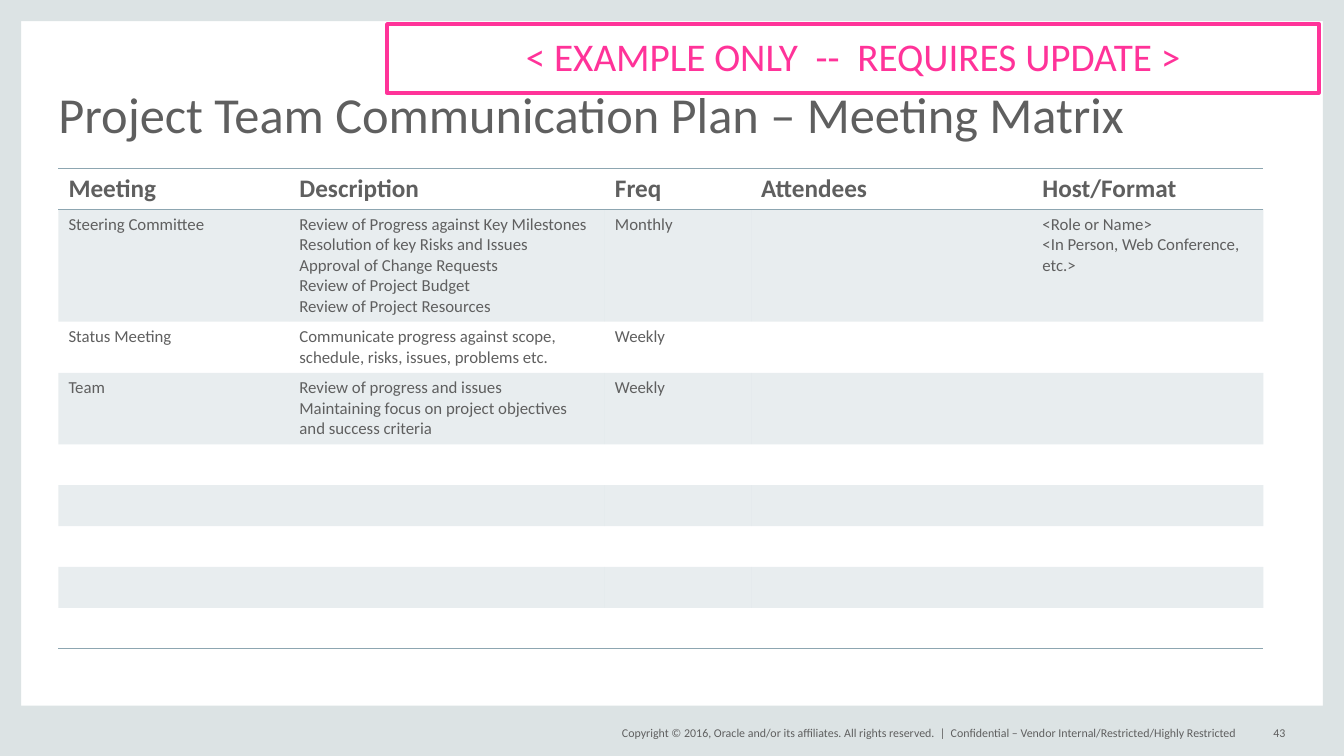
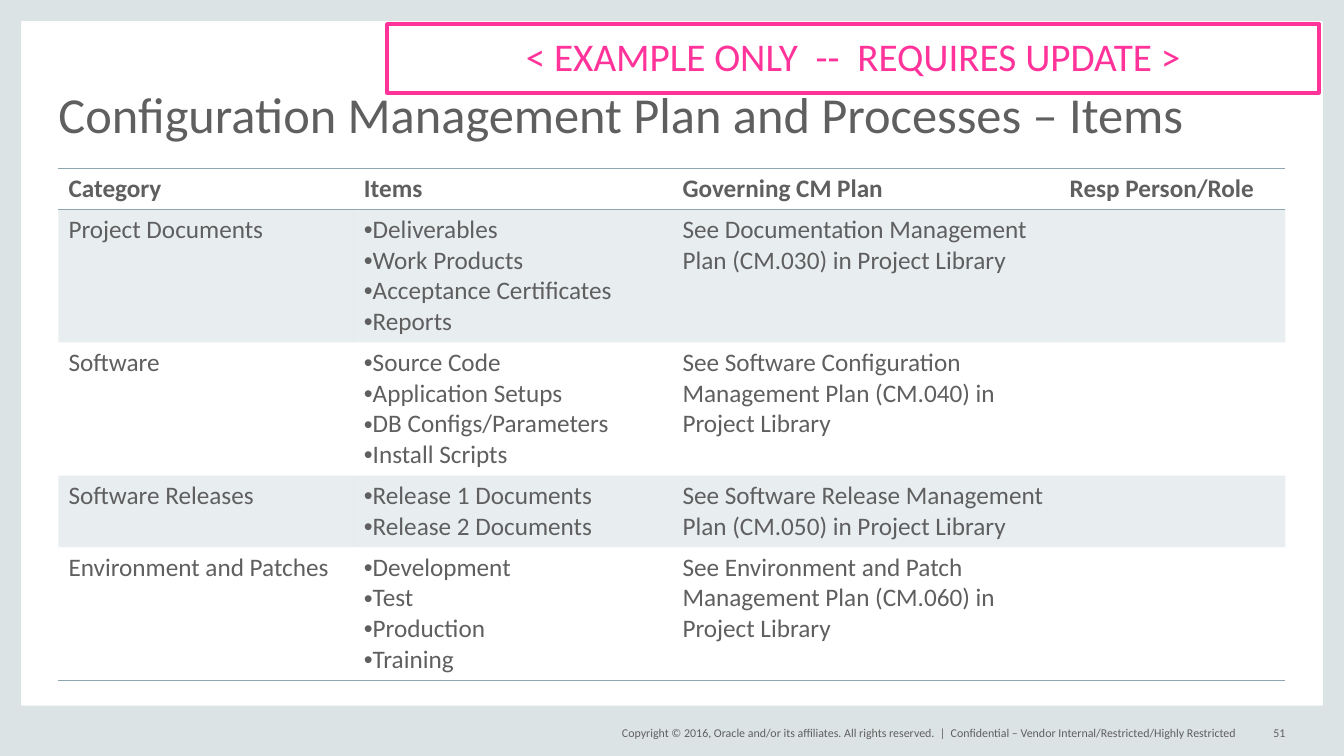
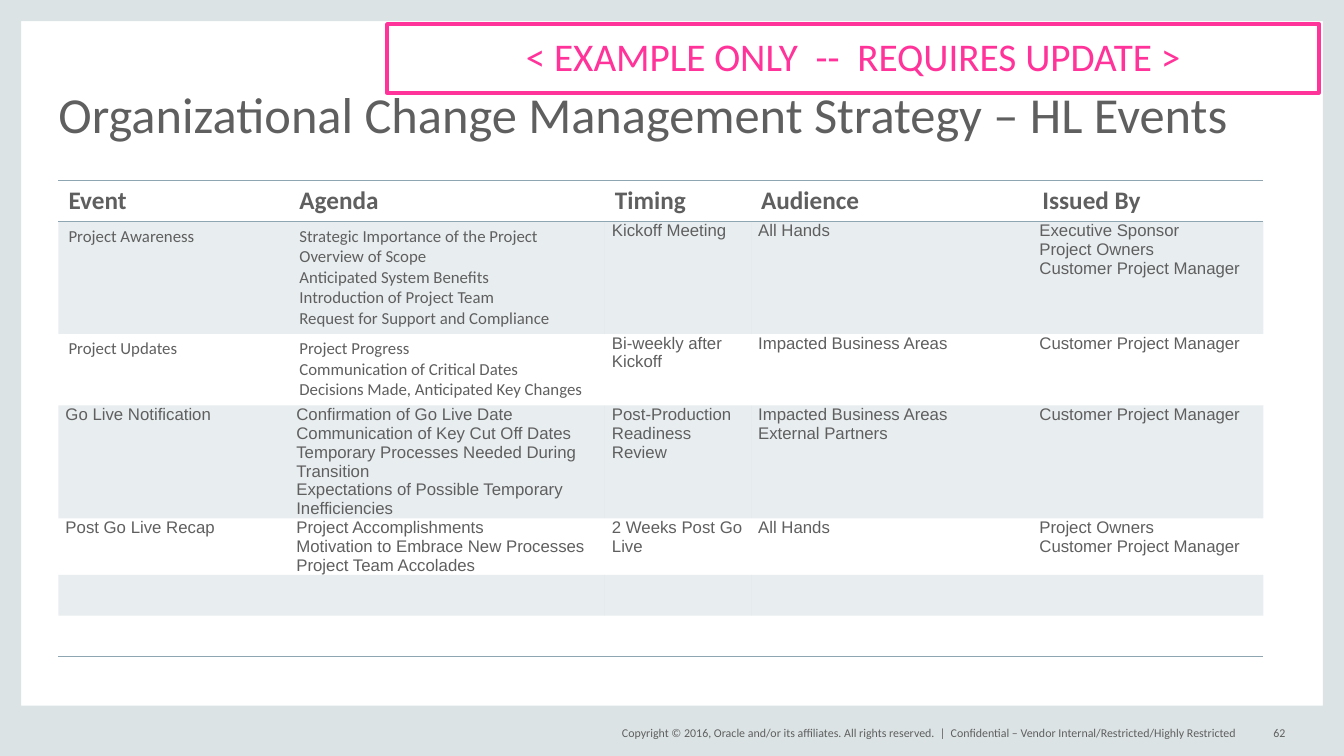
from lxml import etree
from pptx import Presentation
from pptx import util as u
from pptx.dml.color import RGBColor
from pptx.enum import shapes, text
from pptx.oxml.ns import qn

W, H = 13.33, 7.5
LEFT, EDGE, FOOT = 0.58, 0.21, 0.5
ROW = 0.4
GREY, BAND, RULE, PINK = "5F5F5F", "DCE3E4", "8DA6B1", "FF3399"
NO_STYLE = "{2D5ABB26-0587-4C30-8999-92F81FD0307C}"
BANDS = [
    (0, 0, EDGE, H),
    (W - EDGE, 0, EDGE, H),
    (0, H - FOOT, W, FOOT),
    (0, 0, W, EDGE),
]
COPYRIGHT = "Copyright © 2016, Oracle and/or its affiliates. All rights reserved.  |"
CONFIDENTIAL = "Confidential – Vendor Internal/Restricted/Highly Restricted"
BANNER = "< EXAMPLE ONLY  --  REQUIRES UPDATE >"
FIVE_COLS = [2.29, 3.13, 1.45, 2.79, 2.29]

SLIDES = [
    dict(
        title="Project Team Communication Plan – Meeting Matrix",
        number=43, top=1.67, height=4.73, cols=FIVE_COLS, size=12,
        header=["Meeting", "Description", "Freq", "Attendees", "Host/Format"],
        rows=[
            ["Steering Committee",
             "Review of Progress against Key Milestones\nResolution of key Risks and Issues\n"
             "Approval of Change Requests\nReview of Project Budget\nReview of Project Resources",
             "Monthly", "", "<Role or Name>\n<In Person, Web Conference, etc.>"],
            ["Status Meeting",
             "Communicate progress against scope, schedule, risks, issues, problems etc.",
             "Weekly", "", ""],
            ["Team",
             "Review of progress and issues\n"
             "Maintaining focus on project objectives and success criteria",
             "Weekly", "", ""],
        ],
        blank_rows=5,
    ),
    dict(
        title="Configuration Management Plan and Processes – Items",
        number=51, top=1.67, height=5.01, cols=[2.93, 3.16, 3.84, 2.24], size=18,
        header=["Category", "Items", "Governing CM Plan", "Resp Person/Role"],
        rows=[
            ["Project Documents",
             "Deliverables\nWork Products\nAcceptance Certificates\nReports",
             "See Documentation Management Plan (CM.030) in Project Library", ""],
            ["Software",
             "Source Code\nApplication Setups\nDB Configs/Parameters\nInstall Scripts",
             "See Software Configuration Management Plan (CM.040) in Project Library", ""],
            ["Software Releases",
             "Release 1 Documents\nRelease 2 Documents",
             "See Software Release Management Plan (CM.050) in Project Library", ""],
            ["Environment and Patches",
             "Development\nTest\nProduction\nTraining",
             "See Environment and Patch Management Plan (CM.060) in Project Library", ""],
        ],
        bullet_col=1,
    ),
    dict(
        title="Organizational Change Management Strategy – HL Events",
        number=62, top=1.79, height=4.82, cols=FIVE_COLS, size=12,
        header=["Event", "Agenda", "Timing", "Audience", "Issued By"],
        rows=[
            ["Project Awareness",
             "Strategic Importance of the Project\nOverview of Scope\n"
             "Anticipated System Benefits\nIntroduction of Project Team\n"
             "Request for Support and Compliance",
             "Kickoff Meeting", "All Hands",
             "Executive Sponsor\nProject Owners\nCustomer Project Manager"],
            ["Project Updates",
             "Project Progress\nCommunication of Critical Dates\n"
             "Decisions Made, Anticipated Key Changes",
             "Bi-weekly after Kickoff", "Impacted Business Areas",
             "Customer Project Manager"],
            ["Go Live Notification",
             "Confirmation of Go Live Date\nCommunication of Key Cut Off Dates\n"
             "Temporary Processes Needed During Transition\n"
             "Expectations of Possible Temporary Inefficiencies",
             "Post-Production Readiness Review",
             "Impacted Business Areas\nExternal Partners", "Customer Project Manager"],
            ["Post Go Live Recap",
             "Project Accomplishments\nMotivation to Embrace New Processes\n"
             "Project Team Accolades",
             "2 Weeks Post Go Live", "All Hands",
             "Project Owners\nCustomer Project Manager"],
        ],
        blank_rows=2,
        arial_from=[2, 2, 0, 0],
    ),
]


def rgb(color):
    return RGBColor.from_string(color)


def inches(*lengths):
    return [u.Inches(x) for x in lengths]


def write(tf, content, size=18, color=GREY, font="Calibri", bold=False,
          align="LEFT", spacing=None, bullet=False):
    for i, line in enumerate(content.split("\n")):
        p = tf.add_paragraph() if i else tf.paragraphs[0]
        p.alignment = getattr(text.PP_ALIGN, align)
        if spacing:
            p.line_spacing = spacing
        if bullet:
            pPr = p._p.get_or_add_pPr()
            pPr.set("marL", "0")
            pPr.set("indent", "0")
            etree.SubElement(pPr, qn("a:buFont")).set("typeface", "Arial")
            etree.SubElement(pPr, qn("a:buChar")).set("char", "•")
        r = p.add_run()
        r.text = line
        r.font.size = u.Pt(size)
        r.font.name = font
        r.font.bold = bold
        r.font.color.rgb = rgb(color)


def frame(sp, content, anchor="MIDDLE", **fmt):
    tf = sp.text_frame
    tf.word_wrap = True
    tf.margin_left = tf.margin_top = tf.margin_right = tf.margin_bottom = 0
    tf.vertical_anchor = getattr(text.MSO_ANCHOR, anchor)
    write(tf, content, **fmt)


def add_rect(s, box, fill=None, line=None):
    sp = s.shapes.add_shape(shapes.MSO_SHAPE.RECTANGLE, *inches(*box))
    sp.shadow.inherit = False
    if fill:
        sp.fill.solid()
        sp.fill.fore_color.rgb = rgb(fill)
    else:
        sp.fill.background()
    if line:
        sp.line.color.rgb = rgb(line)
        sp.line.width = u.Pt(3)
    else:
        sp.line.fill.background()
    return sp


def add_text(s, box, content, **fmt):
    sp = s.shapes.add_textbox(*inches(*box))
    frame(sp, content, **fmt)
    return sp


def dress_layout(layout, s):
    for ph in list(layout.placeholders)[1:]:
        ph.element.getparent().remove(ph.element)
    parts = [add_rect(s, box, fill=BAND) for box in BANDS]
    parts.append(add_text(s, (5.88, 7.17, 3.5, 0.2), COPYRIGHT, size=8.5, align="RIGHT"))
    for sp in parts:
        layout.shapes.element.append(sp.element)


def border(cell, side):
    ln = etree.SubElement(cell._tc.get_or_add_tcPr(), qn("a:" + side), w=str(u.Pt(1)))
    fill = etree.SubElement(ln, qn("a:solidFill"))
    etree.SubElement(fill, qn("a:srgbClr"), val=RULE)


def shade(cell, banded):
    if not banded:
        cell.fill.background()
        return
    cell.fill.solid()
    cell.fill.fore_color.rgb = rgb(RULE)
    color = cell._tc.tcPr.find(qn("a:solidFill")).find(qn("a:srgbClr"))
    etree.SubElement(color, qn("a:alpha"), val="20000")


def add_matrix(s, d):
    cols = d["cols"]
    rows = [d["header"]] + d["rows"] + [[""] * len(cols)] * d.get("blank_rows", 0)
    arial_from = dict(enumerate(d.get("arial_from", []), 1))
    gf = s.shapes.add_table(len(rows), len(cols),
                            *inches(LEFT, d["top"], sum(cols), ROW * len(rows)))
    table = gf.table
    table._tbl.tblPr.find(qn("a:tableStyleId")).text = NO_STYLE
    table.horz_banding = False
    for col, width in zip(table.columns, cols):
        col.width = u.Inches(width)
    for i, row in enumerate(rows):
        table.rows[i].height = u.Inches(ROW)
        for j, content in enumerate(row):
            cell = table.cell(i, j)
            if i == 0:
                border(cell, "lnT")
            if i in (0, len(rows) - 1):
                border(cell, "lnB")
            shade(cell, i % 2 == 1)
            arial = j >= arial_from.get(i, len(cols))
            if arial:
                cell.margin_left = cell.margin_right = u.Inches(0.07)
                cell.margin_top = cell.margin_bottom = 0
            if content:
                write(cell.text_frame, content, size=d["size"] if i else 18, bold=i == 0,
                      font="Arial" if arial else "Calibri",
                      bullet=i > 0 and j == d.get("bullet_col"))
    gf.height = u.Inches(d["height"])


def build_slide(prs, layout, d):
    s = prs.slides.add_slide(layout)
    if len(prs.slides) == 1:
        dress_layout(layout, s)
    title = s.shapes.title
    title.left, title.top, title.width, title.height = inches(LEFT, 0.44, W - 2 * LEFT, 0.98)
    frame(title, d["title"], anchor="BOTTOM", size=36, spacing=0.8)
    add_matrix(s, d)
    add_text(s, (9.43, 7.17, 3, 0.2), CONFIDENTIAL, size=8.5)
    add_text(s, (12.33, 7.17, 0.42, 0.2), str(d["number"]), size=8.5, align="RIGHT")
    banner = add_rect(s, (3.84, 0.24, 9.24, 0.68), line=PINK)
    frame(banner, BANNER, size=28, color=PINK, align="CENTER", spacing=0.9)


def main():
    prs = Presentation()
    prs.slide_width, prs.slide_height = inches(W, H)
    layout = prs.slide_layouts[5]
    for d in SLIDES:
        build_slide(prs, layout, d)
    prs.save("out.pptx")


if __name__ == "__main__":
    main()
